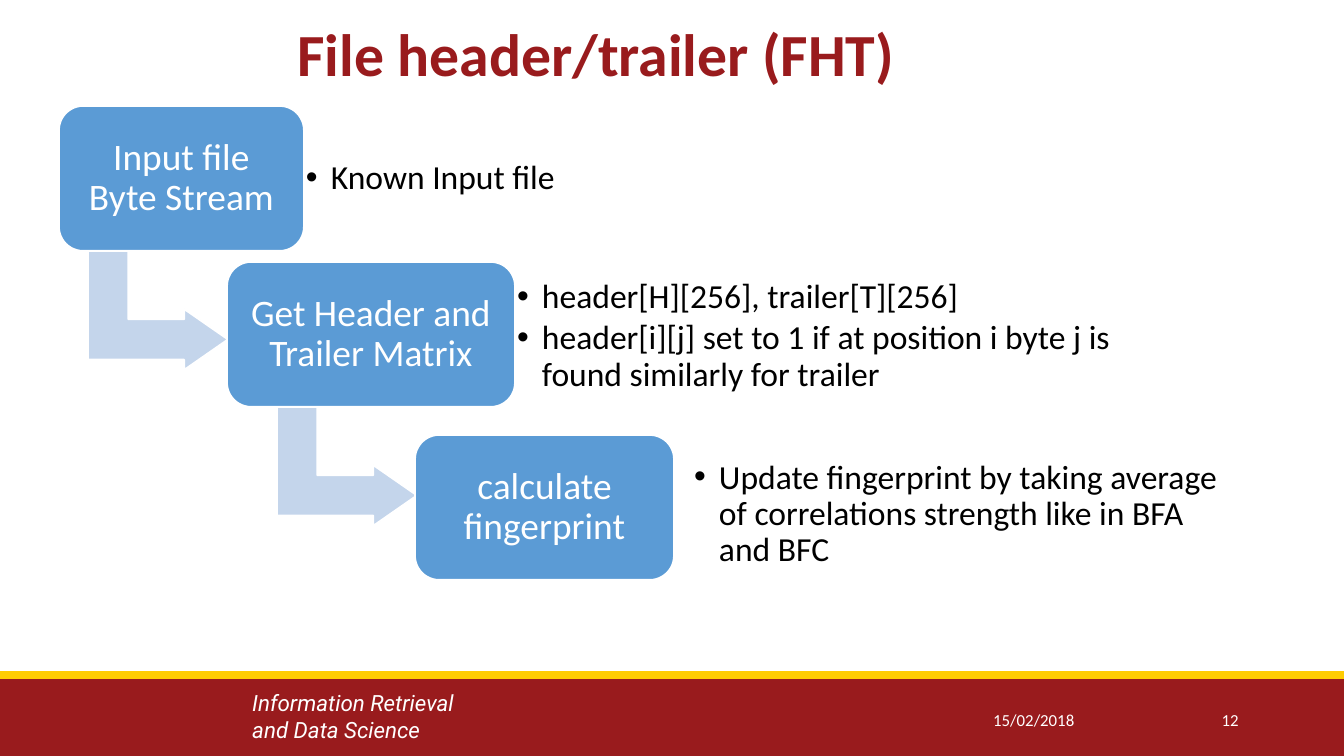
from lxml.etree import SubElement
from pptx import Presentation
from pptx.dml.color import RGBColor
from pptx.enum.shapes import MSO_CONNECTOR, MSO_SHAPE
from pptx.enum.text import MSO_ANCHOR, MSO_AUTO_SIZE, PP_ALIGN
from pptx.oxml.ns import qn
from pptx.util import Emu, Pt

EMU_PER_PX = 914400 / 134.4
WIDTH, HEIGHT = 1344, 756
FOOTER_TOP = 675
STEP_HEIGHT = 145
LIST_HEIGHT = 117

WHITE = RGBColor(0xFF, 0xFF, 0xFF)
BLACK = RGBColor(0x00, 0x00, 0x00)
CARDINAL = RGBColor(0x99, 0x1B, 0x1D)
GOLD = RGBColor(0xFF, 0xCC, 0x01)
BLUE = RGBColor(0x5B, 0x9B, 0xD5)
PALE_BLUE = RGBColor(0xC4, 0xD5, 0xEB)


def px(length):
    return Emu(round(length * EMU_PER_PX))


class SlideBuilder:
    def __init__(self, slide, font="Calibri"):
        self.slide = slide
        self.font = font

    def place(self, shape, box):
        shape.left, shape.top, shape.width, shape.height = map(px, box)

    def set_text(self, shape, lines, size, color, align=PP_ALIGN.LEFT, inset=None,
                 font=None, bold=False, italic=False, line_spacing=None):
        frame = shape.text_frame
        frame.text = "\n".join(lines)
        frame.word_wrap = True
        frame.auto_size = MSO_AUTO_SIZE.NONE
        frame.vertical_anchor = MSO_ANCHOR.MIDDLE
        if inset is not None:
            frame.margin_left = frame.margin_right = px(inset)
            frame.margin_top = frame.margin_bottom = px(inset)
        for paragraph in frame.paragraphs:
            paragraph.alignment = align
            paragraph.space_before = Pt(0)
            if line_spacing:
                paragraph.line_spacing = line_spacing
            for run in paragraph.runs:
                run.font.name = font or self.font
                run.font.size = Pt(size)
                run.font.color.rgb = color
                run.font.bold = bold
                run.font.italic = italic
        return frame

    def title(self, text, box):
        title = self.slide.shapes.title
        self.place(title, box)
        self.set_text(title, [text], 32, CARDINAL, bold=True, line_spacing=0.9)

    def bullets(self, placeholder, lines, box):
        self.place(placeholder, box)
        frame = self.set_text(placeholder, lines, 18, BLACK, inset=9, line_spacing=0.9)
        for paragraph in frame.paragraphs:
            paragraph.space_after = Pt(2.7)
            properties = paragraph._p.get_or_add_pPr()
            properties.set("marL", str(px(25)))
            properties.set("indent", str(px(-25)))
            SubElement(properties, qn("a:buFont"), typeface="Arial")
            SubElement(properties, qn("a:buChar"), char="•")

    def preset(self, kind, box, fill, outline=None):
        shape = self.slide.shapes.add_shape(kind, *map(px, box))
        shape.shadow.inherit = False
        shape.fill.solid()
        shape.fill.fore_color.rgb = fill
        if outline is None:
            shape.line.fill.background()
        else:
            shape.line.color.rgb = outline
            shape.line.width = Pt(1)
        return shape

    def step(self, text, box):
        shape = self.preset(MSO_SHAPE.ROUNDED_RECTANGLE, box, BLUE, WHITE)
        self.set_text(shape, [text], 20, WHITE, PP_ALIGN.CENTER, inset=11, line_spacing=0.9)

    def bent_arrow(self, left, top):
        arrow = self.preset(MSO_SHAPE.BENT_UP_ARROW, (left, top, 122, 140), PALE_BLUE, WHITE)
        arrow.rotation = 90
        for index, value in enumerate((0.33, 0.25, 0.36)):
            arrow.adjustments[index] = value

    def rule(self, top, color, width):
        line = self.slide.shapes.add_connector(
            MSO_CONNECTOR.STRAIGHT, 0, px(top), px(WIDTH), px(top))
        line.line.color.rgb = color
        line.line.width = Pt(width)
        SubElement(line._element.spPr, qn("a:effectLst"))

    def label(self, lines, box, size, **style):
        text_box = self.slide.shapes.add_textbox(*map(px, box))
        self.set_text(text_box, lines, size, WHITE, **style)


def main():
    presentation = Presentation()
    presentation.slide_width, presentation.slide_height = px(WIDTH), px(HEIGHT)
    slide = presentation.slides.add_slide(presentation.slide_layouts.get_by_name("Comparison"))
    builder = SlideBuilder(slide)
    _, *bodies = slide.placeholders

    builder.preset(MSO_SHAPE.RECTANGLE, (0, FOOTER_TOP, WIDTH, HEIGHT - FOOTER_TOP), CARDINAL)
    builder.label(["Information Retrieval", "and Data Science"], (239, 683, 241, 67), 12,
                  font="Roboto", italic=True)
    builder.rule(FOOTER_TOP, GOLD, 4.5)
    builder.label(["15/02/2018"], (980, 700, 192, 40), 9)
    builder.label(["12"], (1183, 700, 69, 40), 9, align=PP_ALIGN.RIGHT)

    builder.title("File header/trailer (FHT)", (284, 0, 805, 114))

    for left, top in ((97, 239), (286, 395)):
        builder.bent_arrow(left, top)

    # Step text, its left, top and width; then the list's left, top, width and lines.
    steps = [
        ("Input file Byte Stream", 59, 106, 245, 297, 120, 332,
         ["Known Input file"]),
        ("Get Header and Trailer Matrix", 227, 262, 288, 508, 278, 634,
         ["header[H][256], trailer[T][256]",
          "header[i][j] set to 1 if at position i byte j is found similarly for trailer"]),
        ("calculate fingerprint", 415, 435, 259, 685, 456, 554,
         ["Update fingerprint by taking average of correlations strength like in BFA and BFC"]),
    ]
    for body, step in zip(bodies, steps):
        text, left, top, width, list_left, list_top, list_width, lines = step
        builder.step(text, (left, top, width, STEP_HEIGHT))
        builder.bullets(body, lines, (list_left, list_top, list_width, LIST_HEIGHT))
    for unused in bodies[len(steps):]:
        unused._element.getparent().remove(unused._element)

    presentation.save("out.pptx")


if __name__ == "__main__":
    main()
